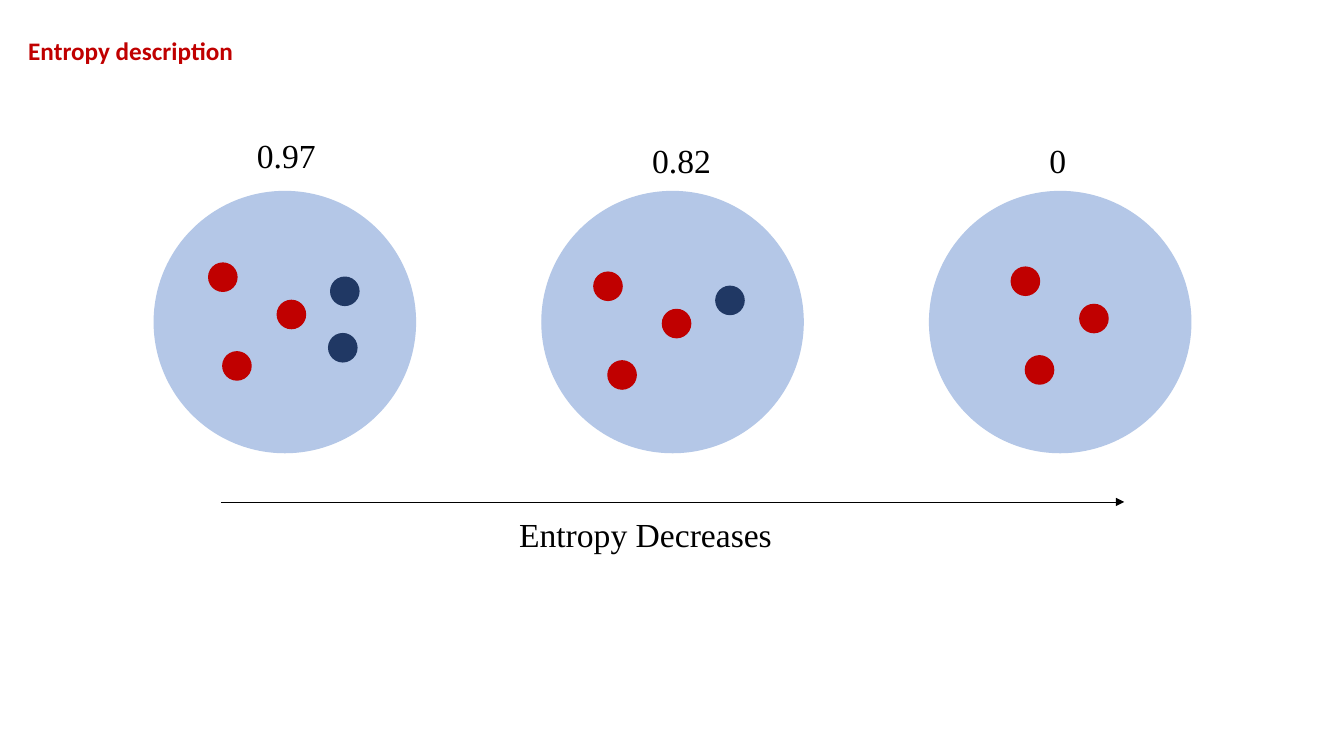
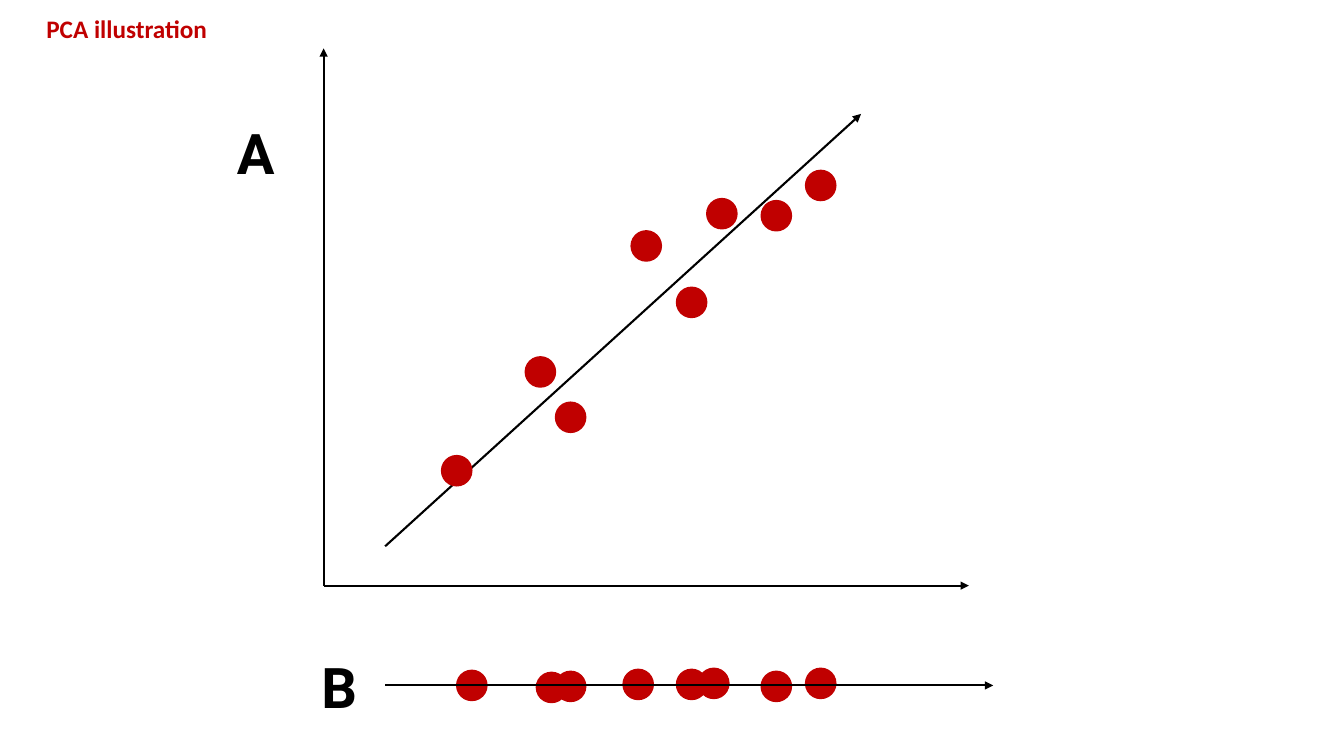
"""Build two slides that illustrate entropy and PCA with dots and arrows."""
import pptx
import pptx.util
import pptx.dml.color
import pptx.enum.shapes
import pptx.enum.text
import pptx.oxml
import pptx.oxml.ns
from lxml import etree

INK = {"red": "C00000", "navy": "203864", "pale": "B4C7E7", "black": "000000"}
CELL = pptx.util.Inches(1)
COLS, ROWS = 13.33, 7.5


def paint(part, tone):
    part.solid()
    part.fore_color.rgb = pptx.dml.color.RGBColor.from_string(INK[tone])


def write(box, words, font, size, tone, bold):
    frame = box.text_frame
    frame.text = words
    frame.word_wrap = False
    frame.auto_size = pptx.enum.text.MSO_AUTO_SIZE.NONE
    frame.vertical_anchor = pptx.enum.text.MSO_ANCHOR.TOP
    line = frame.paragraphs[0]
    line.alignment = pptx.enum.text.PP_ALIGN.LEFT
    run = line.runs[0]
    run.font.name = font
    run.font.size = pptx.util.Pt(size)
    run.font.bold = bold
    paint(run.font.fill, tone)


bowls = [(1.53 + 3.845 * k, 1.9, 2.59, "pale") for k in range(3)]
reds = [(0, 0, "red"), (0.68, 0.37, "red"), (0.14, 0.88, "red")]
navies = [(1.21, 0.14, "navy"), (1.19, 0.7, "navy")]
groups = [(2.07, 2.61, 2), (5.89, 2.7, 1), (10.03, 2.65, 0)]
beads = [(left + x, top + y, 0.28, tone)
         for left, top, count in groups
         for x, y, tone in reds + navies[:count]]

cloud = [(4.38, 4.52), (5.21, 3.54), (5.51, 3.99), (6.26, 2.29),
         (6.71, 2.85), (7.01, 1.97), (7.55, 1.99), (7.99, 1.69)]
shadows = [(4.53, 6.65), (5.32, 6.67), (5.51, 6.66), (6.18, 6.64),
           (6.71, 6.64), (6.93, 6.63), (7.55, 6.66), (7.99, 6.63)]

pages = [
    {
        "title": ("Entropy description", 0.18, 0.3, 2.25),
        "under": bowls + beads,
        "arrows": [(2.19, 4.98, 11.15, 4.98)],
        "weight": 0.5,
        "over": [],
        "labels": [("0.97", 2.45, 1.29, 0.86), ("0.82", 6.37, 1.34, 0.86),
                   ("0", 10.31, 1.34, 0.39),
                   ("Entropy Decreases", 5.05, 5.05, 3.03)],
        "style": ("Times New Roman", 24, "black", False),
        "tall": 0.5,
    },
    {
        "title": ("PCA illustration", 0.36, 0.08, 1.81),
        "under": [(x, y, 0.3, "red") for x, y in shadows],
        "arrows": [(3.21, 5.81, 3.21, 0.48), (3.21, 5.81, 9.61, 5.81),
                   (3.82, 5.42, 8.54, 1.13), (3.82, 6.8, 9.85, 6.8)],
        "weight": 1.5,
        "over": [(x, y, 0.3, "red") for x, y in cloud],
        "labels": [("A", 2.25, 1.13, 0.62), ("B", 3.09, 6.42, 0.56)],
        "style": ("Roboto", 40, "black", True),
        "tall": 0.77,
    },
]

deck = pptx.Presentation()
deck.slide_width = int(COLS * CELL)
deck.slide_height = int(ROWS * CELL)

for page in pages:
    slide = deck.slides.add_slide(deck.slide_layouts[5])
    shapes = slide.shapes

    words, *spot = page["title"]
    title = shapes.title
    title.left, title.top, title.width = [int(n * CELL) for n in spot]
    title.height = int(0.4 * CELL)
    write(title, words, "Calibri", 18, "red", True)

    for layer in ("under", "arrows", "over"):
        for item in page[layer]:
            if layer == "arrows":
                arrow = shapes.add_connector(
                    pptx.enum.shapes.MSO_CONNECTOR.STRAIGHT,
                    *[int(n * CELL) for n in item])
                paint(arrow.line.fill, "black")
                arrow.line.width = pptx.util.Pt(page["weight"])
                props = arrow.line._get_or_add_ln()
                tip = etree.SubElement(props, pptx.oxml.ns.qn("a:tailEnd"))
                tip.set("type", "triangle")
                etree.SubElement(arrow._element.spPr,
                                 pptx.oxml.ns.qn("a:effectLst"))
            else:
                *spot, tone = item
                left, top, size = [int(n * CELL) for n in spot]
                dot = shapes.add_shape(pptx.enum.shapes.MSO_SHAPE.OVAL,
                                       left, top, size, size)
                dot.shadow.inherit = False
                paint(dot.fill, tone)
                paint(dot.line.fill, tone)
                dot.line.width = pptx.util.Pt(1)

    for words, *spot in page["labels"]:
        label = shapes.add_textbox(
            *[int(n * CELL) for n in (*spot, page["tall"])])
        write(label, words, *page["style"])

deck.save("out.pptx")
